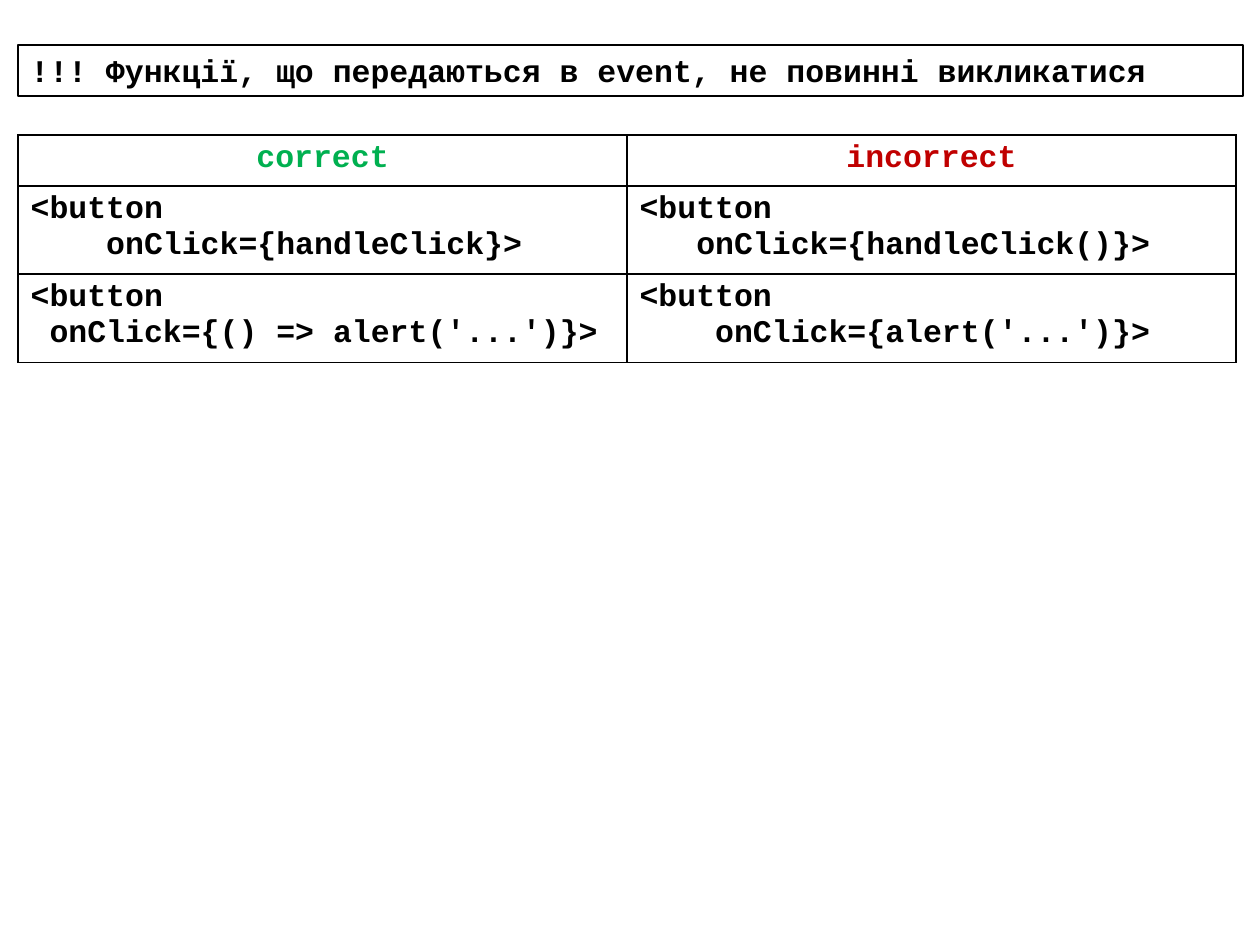
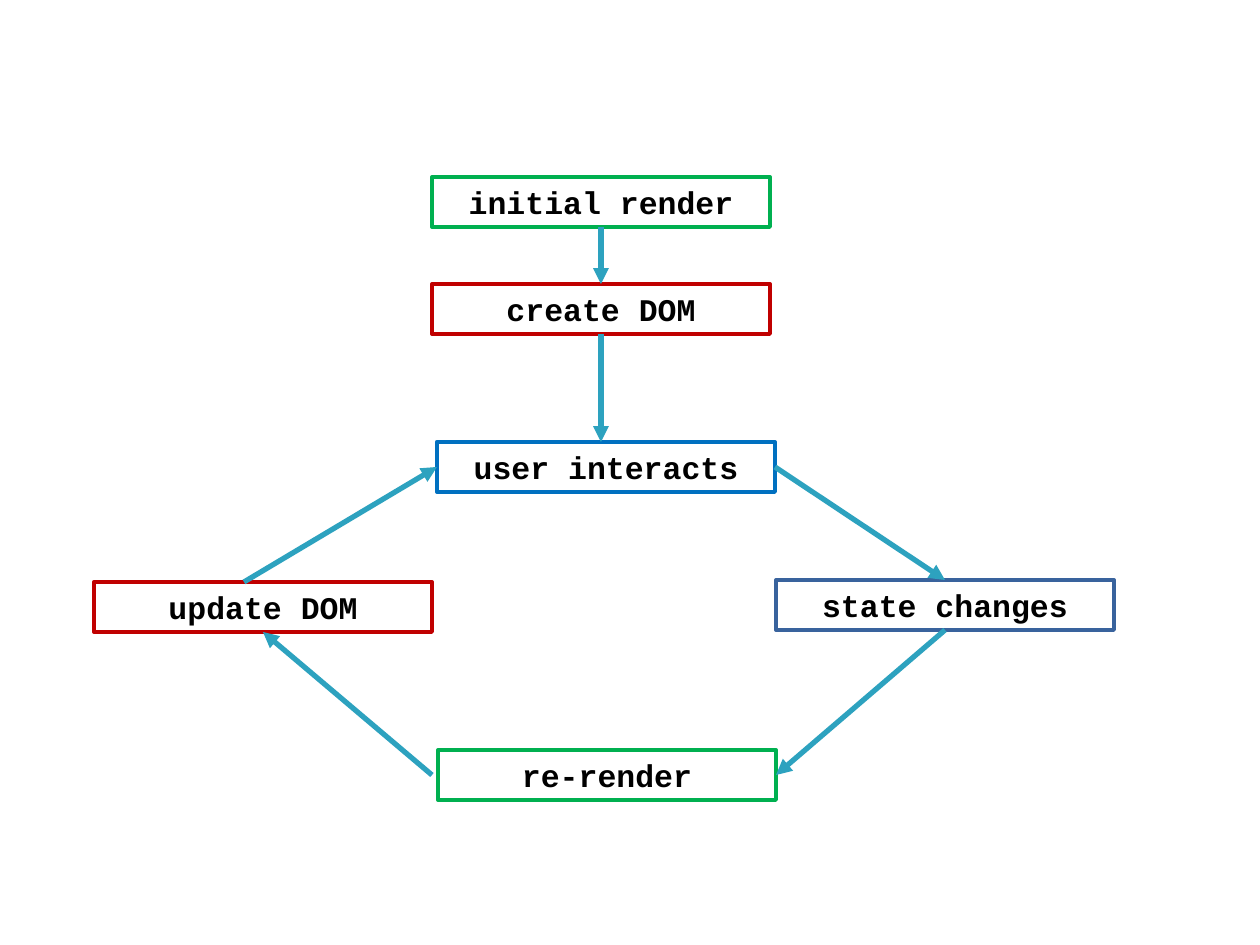
from dataclasses import dataclass

from lxml.etree import SubElement
from pptx import Presentation
from pptx.dml.color import RGBColor
from pptx.enum.shapes import MSO_CONNECTOR, MSO_SHAPE
from pptx.enum.text import MSO_ANCHOR, MSO_AUTO_SIZE, PP_ALIGN
from pptx.oxml import parse_xml
from pptx.oxml.ns import nsdecls, qn
from pptx.util import Pt


@dataclass(frozen=True)
class Theme:
    font: str = "Courier New"
    text_size: int = 18
    ink: str = "000000"
    paper: str = "FFFFFF"
    green: str = "00B050"
    red: str = "C00000"
    blue: str = "0070C0"
    slate: str = "39639D"
    arrow: str = "2DA2BF"


THEME = Theme()
PX = 914400 / 126
TOP, LEFT, BOTTOM, RIGHT = range(4)


def write(frame, lines, color=THEME.ink, align=PP_ALIGN.LEFT):
    """Fill a text frame with one bold monospaced paragraph per line."""
    for number, line in enumerate(lines):
        paragraph = frame.add_paragraph() if number else frame.paragraphs[0]
        paragraph.alignment = align
        run = paragraph.add_run()
        run.text = line
        run.font.name = THEME.font
        run.font.size = Pt(THEME.text_size)
        run.font.bold = True
        run.font.color.rgb = RGBColor.from_string(color)


def add_box(slide, bounds, outline, weight):
    box = slide.shapes.add_shape(MSO_SHAPE.RECTANGLE, *(round(n * PX) for n in bounds))
    box.shadow.inherit = False
    box.fill.solid()
    box.fill.fore_color.rgb = RGBColor.from_string(THEME.paper)
    box.line.color.rgb = RGBColor.from_string(outline)
    box.line.width = Pt(weight)
    box.text_frame.word_wrap = True
    return box


deck = Presentation()
deck.slide_width = round(1260 * PX)
deck.slide_height = round(945 * PX)
blank = deck.slide_layouts[6]

# Slide 1: passing handlers to events
handlers = deck.slides.add_slide(blank)
rule = add_box(handlers, (18, 45, 1225, 51), THEME.ink, 0.75)
rule.text_frame.vertical_anchor = MSO_ANCHOR.TOP
rule.text_frame.auto_size = MSO_AUTO_SIZE.SHAPE_TO_FIT_TEXT
write(rule.text_frame, ["!!! Функції, що передаються в event, не повинні викликатися"])

HEADINGS = [("correct", THEME.green), ("incorrect", THEME.red)]
EXAMPLES = [
    ("    onClick={handleClick}>", "   onClick={handleClick()}>"),
    (" onClick={() => alert('...')}>", "    onClick={alert('...')}>"),
]
ROW_HEIGHTS = [51, 88, 88]
comparison = handlers.shapes.add_table(
    3, 2, *(round(n * PX) for n in (18, 135, 1218, sum(ROW_HEIGHTS)))
).table
comparison.first_row = False
comparison.horz_banding = False
for row, height in zip(comparison.rows, ROW_HEIGHTS):
    row.height = round(height * PX)

for column, (heading, color) in enumerate(HEADINGS):
    write(comparison.cell(0, column).text_frame, [heading], color, PP_ALIGN.CENTER)
for row, examples in enumerate(EXAMPLES, start=1):
    for column, handler in enumerate(examples):
        write(comparison.cell(row, column).text_frame, ["<button", handler])

for cell in comparison.iter_cells():
    cell.fill.solid()
    cell.fill.fore_color.rgb = RGBColor.from_string(THEME.paper)
    properties = cell._tc.get_or_add_tcPr()
    for position, side in enumerate(("lnL", "lnR", "lnT", "lnB")):
        properties.insert(position, parse_xml(
            f'<a:{side} {nsdecls("a")} w="{Pt(1)}"><a:solidFill>'
            f'<a:srgbClr val="{THEME.ink}"/></a:solidFill></a:{side}>'
        ))

# Slide 2: render cycle
cycle = deck.slides.add_slide(blank)
STEPS = [
    ("initial render", 432, 177, THEME.green),
    ("create DOM", 432, 284, THEME.red),
    ("user interacts", 437, 442, THEME.blue),
    ("state changes", 776, 580, THEME.slate),
    ("re-render", 438, 750, THEME.green),
    ("update DOM", 94, 582, THEME.red),
]
steps = {}
for label, left, top, color in STEPS:
    step = add_box(cycle, (left, top, 338, 50), color, 2.25)
    step.text_frame.vertical_anchor = MSO_ANCHOR.MIDDLE
    write(step.text_frame, [label], align=PP_ALIGN.CENTER)
    steps[label] = step

# Each end is a step with its side, or a free point in px
ARROWS = [
    (("user interacts", RIGHT), ("state changes", TOP)),
    (("state changes", BOTTOM), ("re-render", RIGHT)),
    ((432, 775), ("update DOM", BOTTOM)),
    ((244, 582), ("user interacts", LEFT)),
    (("initial render", BOTTOM), ("create DOM", TOP)),
    (("create DOM", BOTTOM), (601, 442)),
]
for start, end in ARROWS:
    arrow = cycle.shapes.add_connector(MSO_CONNECTOR.STRAIGHT, 0, 0, 0, 0)
    if start[0] in steps:
        arrow.begin_connect(steps[start[0]], start[1])
    else:
        arrow.begin_x, arrow.begin_y = (round(n * PX) for n in start)
    if end[0] in steps:
        arrow.end_connect(steps[end[0]], end[1])
    else:
        arrow.end_x, arrow.end_y = (round(n * PX) for n in end)
    arrow.line.color.rgb = RGBColor.from_string(THEME.arrow)
    arrow.line.width = Pt(3)
    SubElement(arrow.line._get_or_add_ln(), qn("a:tailEnd"), type="triangle")
    SubElement(arrow._element.spPr, qn("a:effectLst"))

deck.save("out.pptx")
